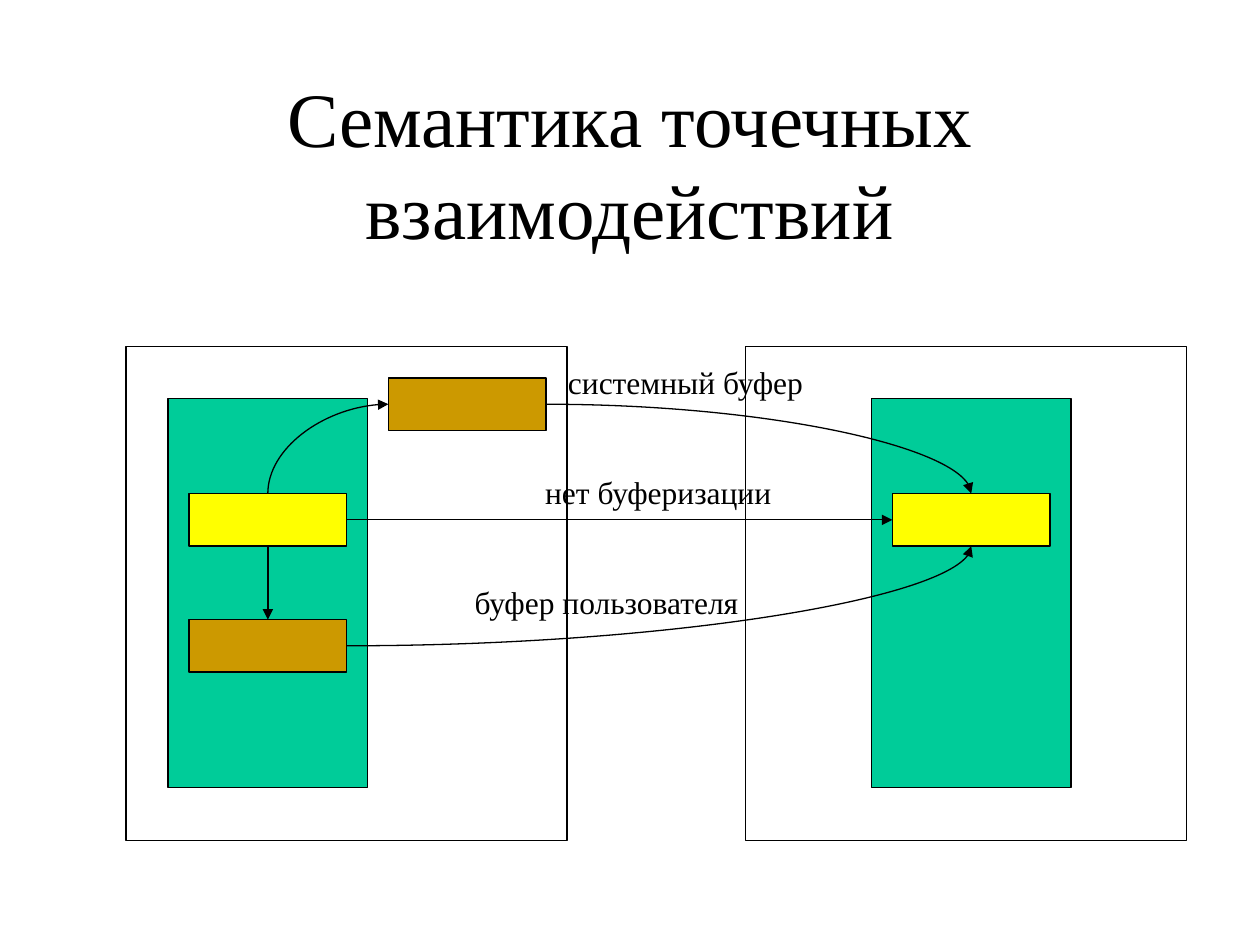
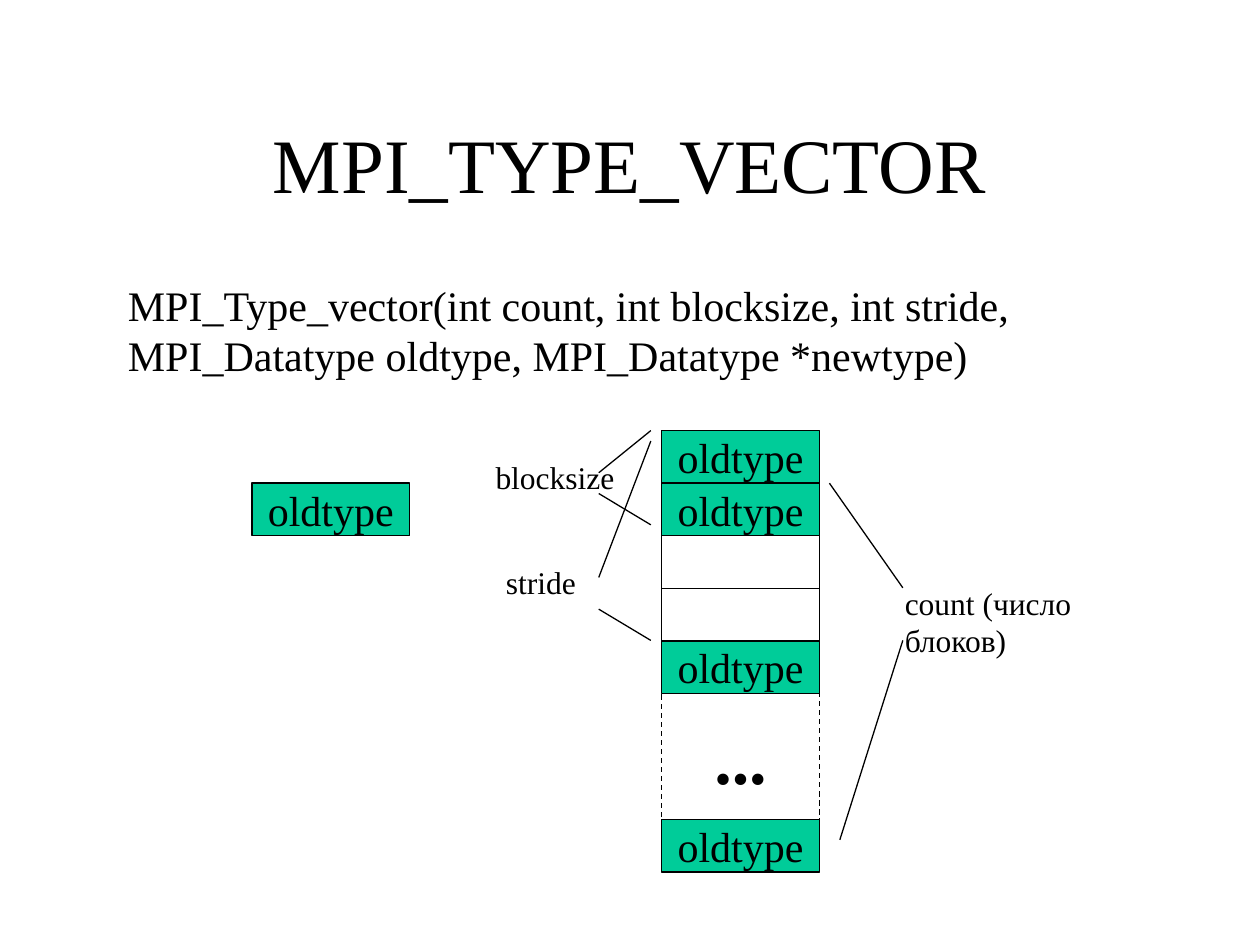
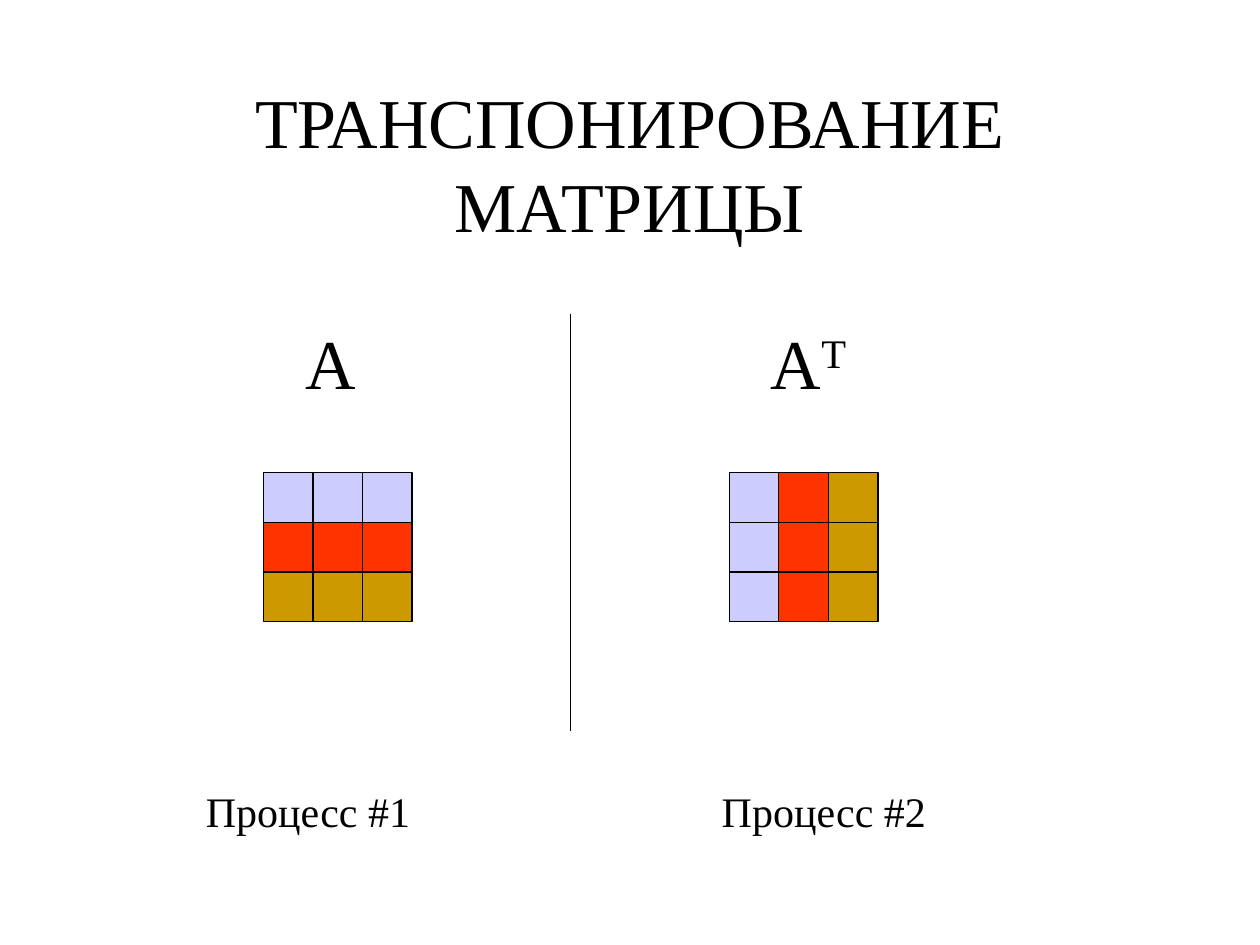
from lxml import etree
from pptx import Presentation
from pptx.dml.color import RGBColor
from pptx.enum.dml import MSO_LINE
from pptx.enum.shapes import MSO_CONNECTOR, MSO_SHAPE
from pptx.enum.text import MSO_ANCHOR, MSO_AUTO_SIZE, PP_ALIGN
from pptx.oxml.ns import qn
from pptx.util import Cm, Pt

BLACK = RGBColor(0x00, 0x00, 0x00)
GREEN = RGBColor(0x00, 0xCC, 0x99)
YELLOW = RGBColor(0xFF, 0xFF, 0x00)
BROWN = RGBColor(0xCC, 0x99, 0x00)
LILAC = RGBColor(0xCC, 0xCC, 0xFF)
RED = RGBColor(0xFF, 0x33, 0x00)

FONT = "Times New Roman"
LEFT, CENTER = PP_ALIGN.LEFT, PP_ALIGN.CENTER
HIGH, MIDDLE = MSO_ANCHOR.TOP, MSO_ANCHOR.MIDDLE
FIXED, GROW = MSO_AUTO_SIZE.NONE, MSO_AUTO_SIZE.SHAPE_TO_FIT_TEXT
STRAIGHT, CURVE = MSO_CONNECTOR.STRAIGHT, MSO_CONNECTOR.CURVE
RECT, DASH = MSO_SHAPE.RECTANGLE, MSO_LINE.DASH
TOP, WEST, BOTTOM, EAST = range(4)
BOX_W, BOX_H = 3.18, 1.06


def write(frame, text, size=18, align=LEFT, anchor=HIGH, bold=False,
          wrap=True, fit=FIXED, sup=""):
    """Fill a text frame with one paragraph, sup being a raised ending."""
    frame.word_wrap = wrap
    frame.auto_size = fit
    frame.vertical_anchor = anchor
    para = frame.paragraphs[0]
    para.alignment = align
    for part in filter(None, (text, sup)):
        run = para.add_run()
        run.text = part
        run.font.name = FONT
        run.font.size = Pt(size)
        run.font.bold = bold
        run.font.color.rgb = BLACK
    if sup:
        run._r.get_or_add_rPr().set("baseline", "30000")


def spot(shape, side):
    """Middle of one side of a shape, in centimetres."""
    x, y = shape.left.cm, shape.top.cm
    w, h = shape.width.cm, shape.height.cm
    return {TOP: (x + w / 2, y), WEST: (x, y + h / 2),
            BOTTOM: (x + w / 2, y + h), EAST: (x + w, y + h / 2)}[side]


class Deck:
    def __init__(self):
        self.prs = Presentation()
        self.prs.slide_width, self.prs.slide_height = Cm(25.4), Cm(19.05)
        self.slide = None

    def start(self, title, size=44):
        """Add a slide with its title."""
        self.slide = self.prs.slides.add_slide(self.prs.slide_layouts[5])
        head = self.slide.shapes.title
        head.left, head.top = Cm(1.9), Cm(1.69)
        head.width, head.height = Cm(21.59), Cm(3.18)
        write(head.text_frame, title, size=size, align=CENTER, anchor=MIDDLE)

    def rect(self, x, y, w=BOX_W, h=BOX_H, fill=None, dash=None, text="",
             **style):
        box = self.slide.shapes.add_shape(RECT, Cm(x), Cm(y), Cm(w), Cm(h))
        box.shadow.inherit = False
        if fill is None:
            box.fill.background()
        else:
            box.fill.solid()
            box.fill.fore_color.rgb = fill
        box.line.color.rgb = BLACK
        box.line.width = Pt(0.75)
        if dash:
            box.line.dash_style = dash
        if text:
            write(box.text_frame, text, align=CENTER, anchor=MIDDLE,
                  wrap=False, **style)
        return box

    def label(self, text, x, y, w, h=1.02, **style):
        box = self.slide.shapes.add_textbox(Cm(x), Cm(y), Cm(w), Cm(h))
        write(box.text_frame, text, fit=GROW, **style)

    def line(self, start, end, kind=STRAIGHT, arrow=False):
        link = self.slide.shapes.add_connector(
            kind, *(Cm(value) for value in (*start, *end)))
        link.line.color.rgb = BLACK
        link.line.width = Pt(0.75)
        props = link._element.spPr
        if arrow:
            etree.SubElement(props.find(qn("a:ln")), qn("a:tailEnd"),
                             type="triangle")
        etree.SubElement(props, qn("a:effectLst"))
        return link

    def join(self, one, side, two, goal):
        """Straight arrow glued to the sides of two boxes."""
        link = self.line(spot(one, side), spot(two, goal), arrow=True)
        link.begin_connect(one, side)
        link.end_connect(two, goal)

    def bend(self, one, side, two, goal):
        """Quarter-curve arrow between two sides at right angles."""
        start, end = spot(one, side), spot(two, goal)
        turn = side in (TOP, BOTTOM)
        if turn:
            midx, midy = ((a + b) / 2 for a, b in zip(start, end))
            dx, dy = ((b - a) / 2 for a, b in zip(start, end))
            start, end = (midx - dy, midy + dx), (midx + dy, midy - dx)
        props = self.line(start, end, CURVE, arrow=True)._element.spPr
        props.find(qn("a:prstGeom")).set("prst", "curvedConnector2")
        if turn:
            props.find(qn("a:xfrm")).set("rot", "5400000")


def send(deck):
    deck.start("Семантика точечных взаимодействий")
    for x in (15.03, 2.54):
        deck.rect(x, 6.99, 8.89, 9.95)
    for x in (3.39, 17.57):
        deck.rect(x, 8.04, 4.02, 7.83, fill=GREEN)
    source = deck.rect(3.81, 9.95, fill=YELLOW)
    target = deck.rect(17.99, 9.95, fill=YELLOW)
    system = deck.rect(7.83, 7.62, fill=BROWN)
    user = deck.rect(3.81, 12.49, fill=BROWN)

    deck.join(source, EAST, target, WEST)
    deck.join(source, BOTTOM, user, TOP)
    deck.bend(source, TOP, system, WEST)
    deck.bend(system, EAST, target, TOP)
    deck.bend(user, EAST, target, BOTTOM)
    for text, x, y, w in (("нет буферизации", 10.74, 9.42, 5.11),
                          ("системный буфер", 11.2, 7.19, 5.28),
                          ("буфер пользователя", 9.32, 11.63, 5.89)):
        deck.label(text, x, y, w, wrap=False)


def vector(deck):
    deck.start("MPI_TYPE_VECTOR")
    deck.label("MPI_Type_vector(int count, int blocksize, int stride, "
               "MPI_Datatype oldtype, MPI_Datatype *newtype)",
               2.33, 5.5, 21.59, 2.29, size=24)
    left, top, gap = 13.34, 8.68, 2.54
    rows = [top + i * BOX_H for i in range(6)]
    for y in rows[2:4]:
        deck.rect(left, y)
    deck.rect(left, rows[5], h=gap, dash=DASH, text="...", size=40, bold=True)
    used = [(left, y) for y in (*rows[:2], rows[4], rows[5] + gap)]
    for x, y in [(5.08, rows[1]), *used]:
        deck.rect(x, y, fill=GREEN, text="oldtype", size=24)

    for start, end in (((16.72, 9.74), (18.2, 11.85)),
                       ((16.93, 16.93), (18.2, 12.91))):
        deck.line(start, end)
    for near, far in ((8.89, 11.64), (12.91, 12.28),
                      (10.58, 9.95), (8.68, 9.53)):
        deck.line((13.12, near), (12.07, far))
    deck.label("count (число блоков)", 17.99, 11.64, 5.93, 1.78)
    deck.label("stride", 9.95, 11.22, 3.18)
    deck.label("blocksize", 9.74, 9.1, 3.18)


def matrix(deck):
    deck.start("ТРАНСПОНИРОВАНИЕ МАТРИЦЫ", size=40)
    tints = (LILAC, RED, BROWN)
    cell = 1
    for left, sup, edge, name in ((5.31, "", 3.9, "Процесс #1"),
                                  (14.7, "T", 14.3, "Процесс #2")):
        for row in range(3):
            for col in range(3):
                deck.rect(left + col * cell, 9.53 + row * cell, cell, cell,
                          fill=tints[col if sup else row])
        deck.label("A", left + 0.59, 6.32, 3.4, 1.96, size=40, sup=sup)
        deck.label(name, edge, 15.72, 7.2, 1.27, size=24)
    deck.line((11.5, 6.32), (11.5, 14.73))


def main():
    deck = Deck()
    send(deck)
    vector(deck)
    matrix(deck)
    deck.prs.save("out.pptx")


if __name__ == "__main__":
    main()
